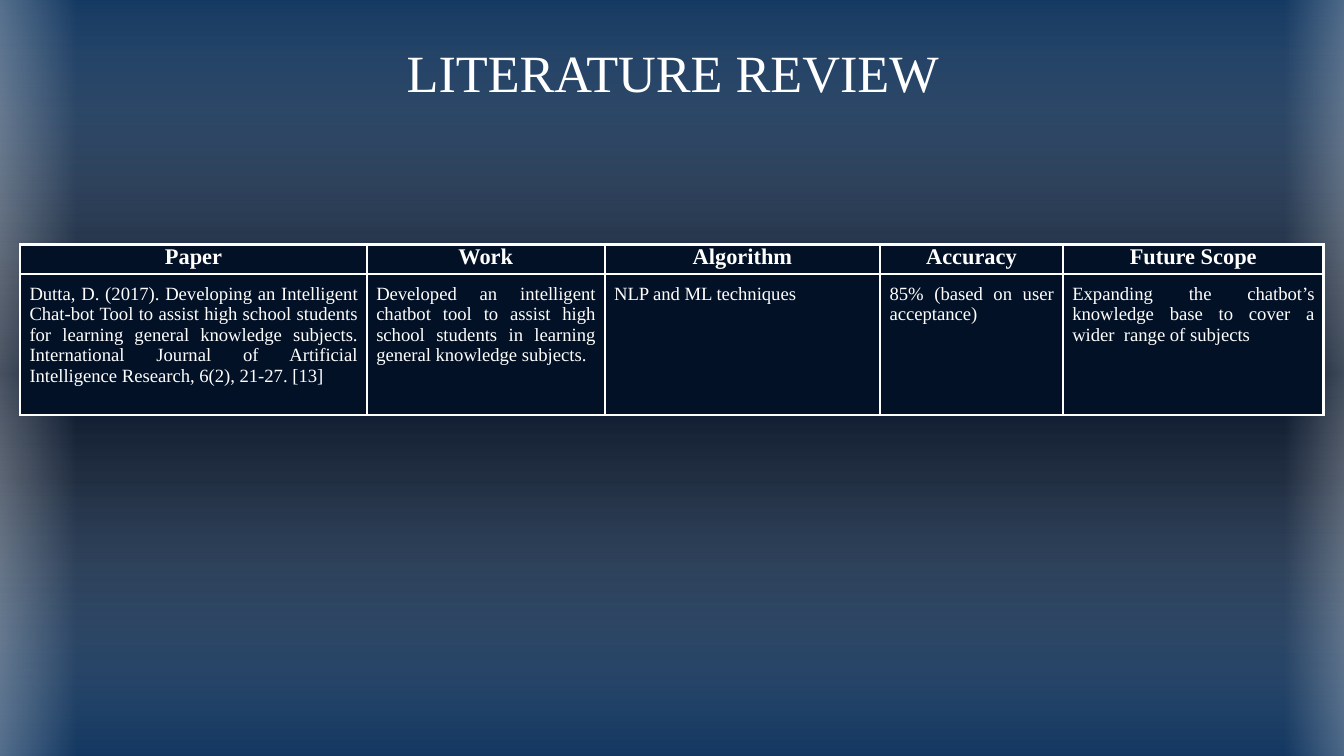
"""Build a literature review slide with a one-entry comparison table."""
from dataclasses import dataclass

import lxml.etree
import pptx
import pptx.dml.color
import pptx.dml.fill
import pptx.enum.shapes
import pptx.enum.text
import pptx.oxml.ns
import pptx.slide
import pptx.table
import pptx.text.text
import pptx.util

Inches = pptx.util.Inches
Pt = pptx.util.Pt
qn = pptx.oxml.ns.qn
ALIGN = pptx.enum.text.PP_ALIGN
ANCHOR = pptx.enum.text.MSO_ANCHOR

FONT = "Times New Roman"
COLORS = {"blue": "10355F", "navy": "031126", "white": "FFFFFF"}


@dataclass(frozen=True)
class Stop:
    pos: int
    color: str
    alpha: int = 100


@dataclass(frozen=True)
class Glow:
    left: float
    top: float
    width: float
    height: float
    rotation: int
    stops: tuple[Stop, ...]


@dataclass(frozen=True)
class Column:
    heading: str
    width: float
    body: str


BACKGROUND = (Stop(0, "blue"), Stop(37, "navy"), Stop(63, "navy"), Stop(100, "blue"))
BAND = (Stop(0, "blue", 59), Stop(50, "white", 0), Stop(100, "blue", 59))
EDGE = (Stop(0, "white", 47), Stop(100, "white", 0))

GLOWS = (
    Glow(2.2, -2.33, 5.81, 10.21, 270, BAND),
    Glow(-0.41, -0.09, 0.98, 5.8, 180, EDGE),
    Glow(9.56, -0.13, 0.85, 5.8, 0, EDGE),
)

COLUMNS = (
    Column("Paper", 2.58,
           "Dutta, D. (2017). Developing an Intelligent Chat-bot Tool to assist "
           "high school students for learning general knowledge subjects. "
           "International Journal of Artificial Intelligence Research, "
           "6(2), 21-27. [13]"),
    Column("Work", 1.77,
           "Developed an intelligent chatbot tool to assist high school students "
           "in learning general knowledge subjects."),
    Column("Algorithm", 2.05, "NLP and ML techniques"),
    Column("Accuracy", 1.36, "85% (based on user acceptance)"),
    Column("Future Scope", 1.94,
           "Expanding the chatbot’s knowledge base to cover a wider  range of subjects"),
)
ROW_HEIGHTS = (0.22, 1.05)


def rgb(name: str) -> pptx.dml.color.RGBColor:
    return pptx.dml.color.RGBColor.from_string(COLORS[name])


def add_color(parent: lxml.etree._Element, name: str) -> lxml.etree._Element:
    return lxml.etree.SubElement(parent, qn("a:srgbClr"), val=COLORS[name])


def set_gradient(fill: pptx.dml.fill.FillFormat, element: lxml.etree._Element,
                 stops: tuple[Stop, ...], angle: int) -> None:
    fill.gradient()
    fill.gradient_angle = 360 - angle
    stop_list = element.find(".//" + qn("a:gsLst"))
    for old in list(stop_list):
        stop_list.remove(old)
    for stop in stops:
        gs = lxml.etree.SubElement(stop_list, qn("a:gs"), pos=str(stop.pos * 1000))
        color = add_color(gs, stop.color)
        if stop.alpha < 100:
            lxml.etree.SubElement(color, qn("a:alpha"), val=str(stop.alpha * 1000))


def add_glow(s: pptx.slide.Slide, glow: Glow) -> None:
    sp = s.shapes.add_shape(
        pptx.enum.shapes.MSO_SHAPE.RECTANGLE, Inches(glow.left), Inches(glow.top),
        Inches(glow.width), Inches(glow.height))
    sp.rotation = glow.rotation
    sp.shadow.inherit = False
    sp.line.fill.background()
    set_gradient(sp.fill, sp.element, glow.stops, 180)


def write(tf: pptx.text.text.TextFrame, text: str, size: int,
          align: ALIGN, bold: bool = False) -> None:
    tf.word_wrap = True
    p = tf.paragraphs[0]
    p.alignment = align
    r = p.add_run()
    r.text = text
    r.font.name = FONT
    r.font.size = Pt(size)
    r.font.bold = bold
    r.font.color.rgb = rgb("white")


def add_title(s: pptx.slide.Slide, text: str) -> None:
    sp = s.shapes.add_textbox(Inches(0.79), Inches(0.22), Inches(8.43), Inches(0.63))
    tf = sp.text_frame
    tf.margin_left = tf.margin_right = tf.margin_top = tf.margin_bottom = Inches(0.1)
    tf.vertical_anchor = ANCHOR.MIDDLE
    write(tf, text, 28, ALIGN.CENTER)


def style_cell(cell: pptx.table._Cell, margin: float) -> None:
    cell.margin_left = cell.margin_right = Inches(0.07)
    cell.margin_top = cell.margin_bottom = Inches(margin)
    cell.vertical_anchor = ANCHOR.TOP
    cell.fill.solid()
    cell.fill.fore_color.rgb = rgb("navy")
    props = cell._tc.get_or_add_tcPr()
    for i, side in enumerate(("a:lnL", "a:lnR", "a:lnT", "a:lnB")):
        line = lxml.etree.Element(qn(side), w=str(Pt(1.5)))
        add_color(lxml.etree.SubElement(line, qn("a:solidFill")), "white")
        props.insert(i, line)


def add_review_table(s: pptx.slide.Slide) -> None:
    width = sum(column.width for column in COLUMNS)
    table = s.shapes.add_table(
        len(ROW_HEIGHTS), len(COLUMNS), Inches(0.15), Inches(1.82),
        Inches(width), Inches(sum(ROW_HEIGHTS))).table
    table.horz_banding = False
    for row, height in zip(table.rows, ROW_HEIGHTS):
        row.height = Inches(height)
    for i, column in enumerate(COLUMNS):
        table.columns[i].width = Inches(column.width)
        heading, body = table.cell(0, i), table.cell(1, i)
        style_cell(heading, 0)
        style_cell(body, 0.07)
        write(heading.text_frame, column.heading, 12, ALIGN.CENTER, bold=True)
        write(body.text_frame, column.body, 10, ALIGN.JUSTIFY)


def main() -> None:
    prs = pptx.Presentation()
    prs.slide_width = Inches(10)
    prs.slide_height = prs.slide_width * 9 // 16
    s = prs.slides.add_slide(prs.slide_layouts[6])
    set_gradient(s.background.fill, s.element, BACKGROUND, 90)
    for glow in GLOWS:
        add_glow(s, glow)
    add_title(s, "LITERATURE REVIEW")
    add_review_table(s)
    prs.save("out.pptx")


if __name__ == "__main__":
    main()
